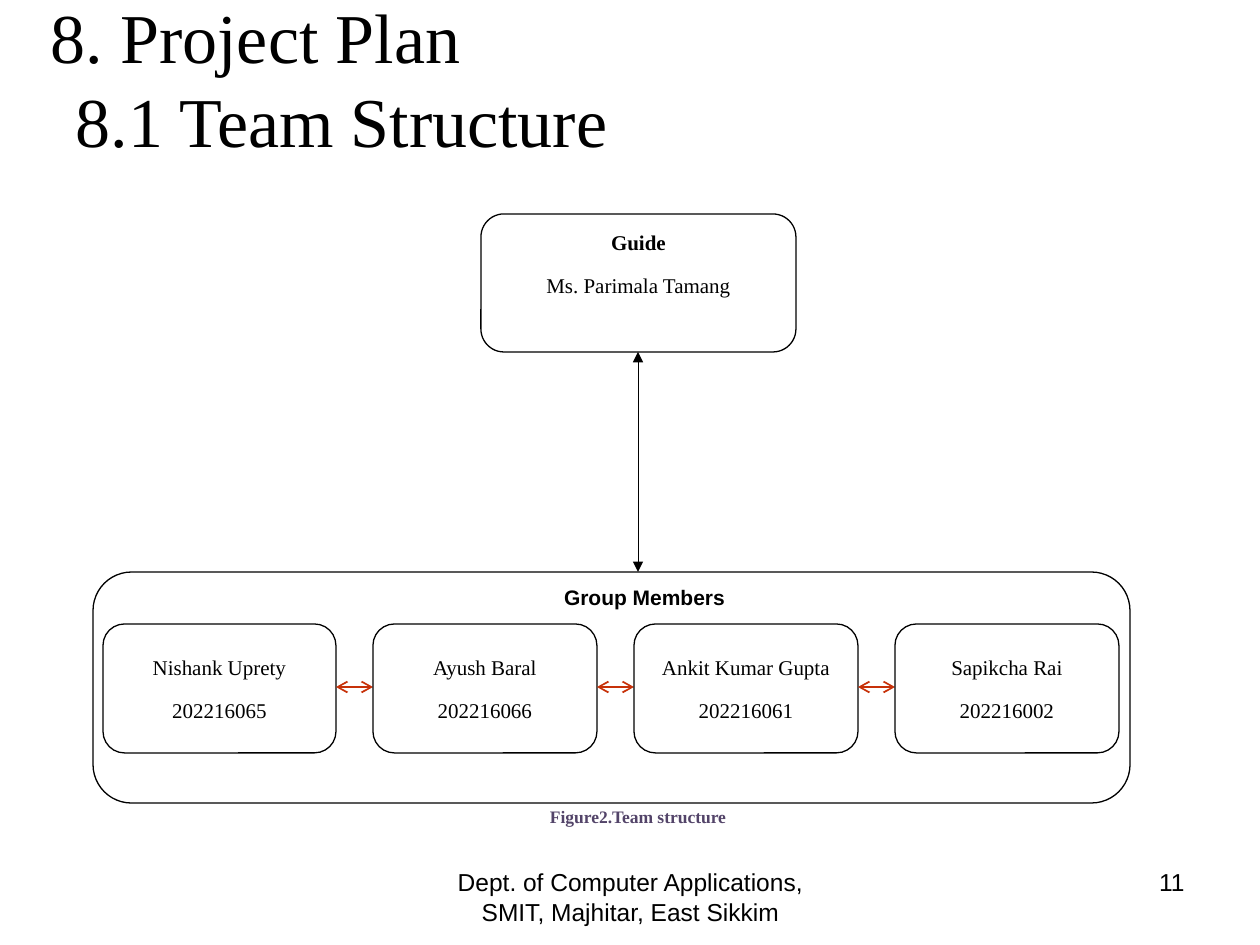
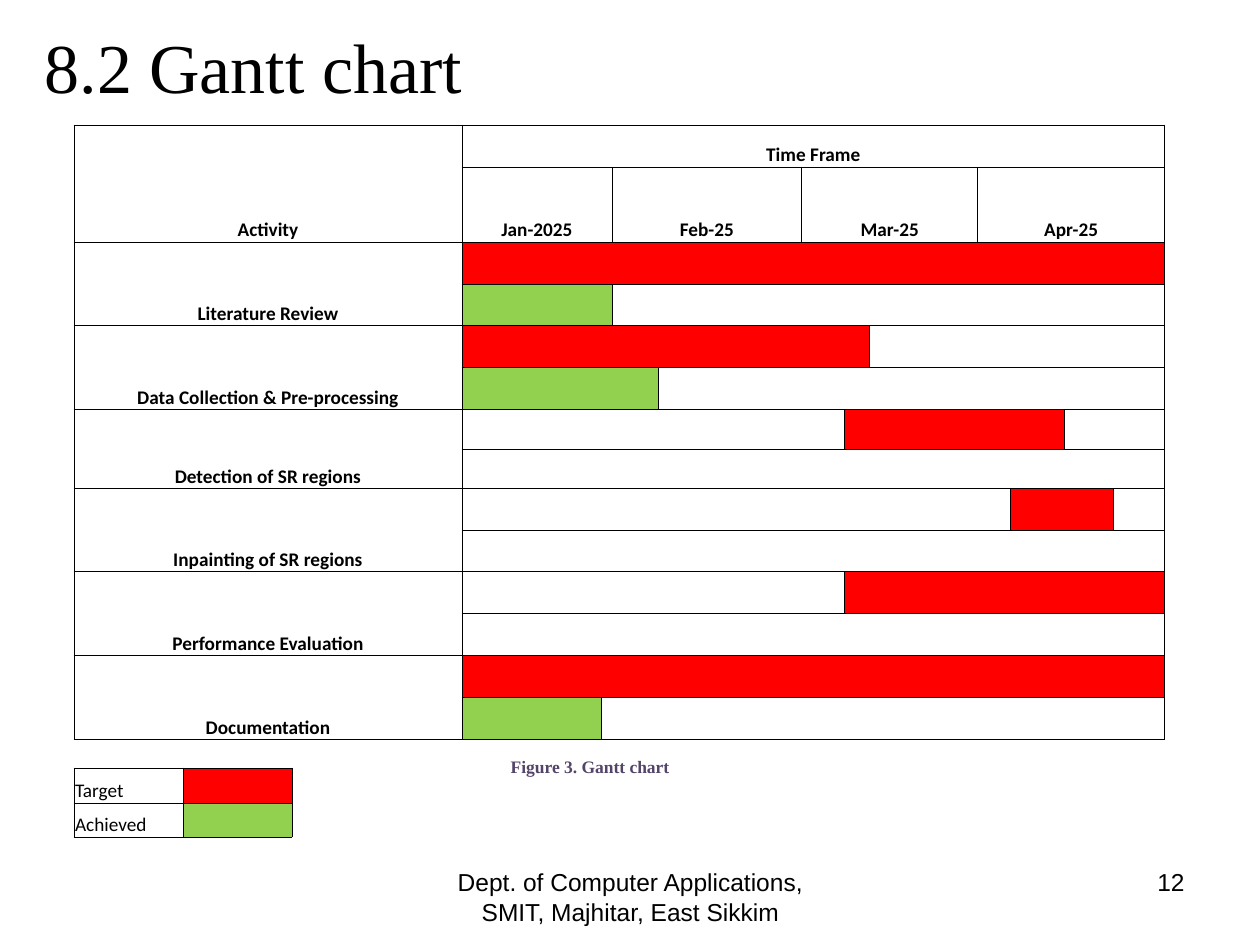
from lxml.etree import SubElement
from pptx import Presentation
from pptx.dml.color import RGBColor
from pptx.enum.shapes import MSO_CONNECTOR, MSO_SHAPE
from pptx.enum.text import MSO_ANCHOR, MSO_AUTO_SIZE, PP_ALIGN
from pptx.oxml import parse_xml
from pptx.oxml.ns import nsdecls, qn
from pptx.util import Emu, Pt

# Shared look
BLACK, WHITE, RED, GREEN = "000000", "FFFFFF", "FF0000", "92D050"
ARROW_RED, CAPTION_PURPLE = "C73109", "534469"
SERIF, SANS, TABLE_FONT = "Times New Roman", "Arial", "Calibri"
PX_PER_INCH = 126
FOOTER = "Dept. of Computer Applications, SMIT, Majhitar, East Sikkim"
FOOTER_BOX, NUMBER_BOX = (431, 861, 399, 66), (903, 861, 294, 66)

# Team structure content
TEAM_TITLE = "8. Project Plan\v8.1 Team Structure"
GUIDE = ["Guide", "Ms. Parimala Tamang"]
GUIDE_BOX = (481, 214, 315, 138)
GROUP_BOX = (93, 572, 1037, 231)
MEMBERS = [
    ("Nishank Uprety", "202216065"),
    ("Ayush Baral", "202216066"),
    ("Ankit Kumar Gupta", "202216061"),
    ("Sapikcha Rai", "202216002"),
]
FIRST_MEMBER_LEFT, FIRST_MEMBER_WIDTH = 103, 233
MEMBER_TOP, MEMBER_WIDTH, MEMBER_HEIGHT, MEMBER_GAP = 624, 224, 129, 37

# Gantt content: bars are (first column edge, last column edge)
GANTT_TITLE = "8.2 Gantt chart"
COLUMN_EDGES = [74, 462, 601, 612, 658, 802, 845, 870, 978, 1011, 1065, 1114, 1165]
ROW_EDGES = [125, 167, 242, 284, 326, 368, 410, 450, 489, 531, 572, 614, 656, 698, 740]
MONTHS = [("Jan-2025", 1, 3), ("Feb-25", 3, 5), ("Mar-25", 5, 8), ("Apr-25", 8, 12)]
ACTIVITIES = [
    ("Literature Review", (1, 12), (1, 3)),
    ("Data Collection & Pre-processing", (1, 7), (1, 4)),
    ("Detection of SR regions", (6, 10), None),
    ("Inpainting of SR regions", (9, 11), None),
    ("Performance Evaluation", (6, 12), None),
    ("Documentation", (1, 12), (1, 2)),
]
LEGEND = [("Target", RED), ("Achieved", GREEN)]
LEGEND_COLUMN_EDGES, LEGEND_ROW_EDGES = [74, 183, 292], [768, 803, 837]


def px(length):
    return Emu(round(length * 914400 / PX_PER_INCH))


def rgb(code):
    return RGBColor.from_string(code)


def style(paragraph, size, font, color=BLACK, bold=False, align=PP_ALIGN.CENTER, after=0):
    paragraph.alignment = align
    paragraph.space_after = Pt(after)
    paragraph.font.size = Pt(size)
    paragraph.font.name = font
    paragraph.font.bold = bold
    paragraph.font.color.rgb = rgb(color)


def add_text(slide, box, text, size, font, **look):
    frame = slide.shapes.add_textbox(*map(px, box)).text_frame
    frame.word_wrap = True
    frame.text = text
    style(frame.paragraphs[0], size, font, **look)


def add_caption(slide, left, top, text):
    add_text(slide, (left, top, 238, 34), text, 10, SERIF, color=CAPTION_PURPLE, bold=True)


def new_slide(deck, title, box, number):
    slide = deck.slides.add_slide(deck.slide_layouts[5])
    heading = slide.shapes.title
    heading.left, heading.top, heading.width, heading.height = map(px, box)
    frame = heading.text_frame
    frame.text = title
    frame.auto_size = MSO_AUTO_SIZE.NONE
    frame.vertical_anchor = MSO_ANCHOR.MIDDLE
    style(frame.paragraphs[0], 40, SERIF, align=PP_ALIGN.LEFT)
    add_text(slide, FOOTER_BOX, FOOTER, 14, SANS)
    add_text(slide, NUMBER_BOX, str(number), 14, SANS, align=PP_ALIGN.RIGHT)
    return slide


def add_rounded(slide, box, lines=()):
    shape = slide.shapes.add_shape(MSO_SHAPE.ROUNDED_RECTANGLE, *map(px, box))
    shape.shadow.inherit = False
    shape.fill.background()
    shape.line.color.rgb = rgb(BLACK)
    shape.line.width = Pt(0.75)
    frame = shape.text_frame
    frame.vertical_anchor = MSO_ANCHOR.MIDDLE
    frame.text = "\n".join(lines)
    for paragraph in frame.paragraphs:
        style(paragraph, 12, SERIF, after=10)
    return frame


def add_double_arrow(slide, start, end, color, width, head):
    arrow = slide.shapes.add_connector(MSO_CONNECTOR.STRAIGHT, *map(px, start + end))
    arrow.line.color.rgb = rgb(color)
    arrow.line.width = Pt(width)
    properties = arrow._element.spPr
    outline = properties.find(qn("a:ln"))
    for tip in ("a:headEnd", "a:tailEnd"):
        SubElement(outline, qn(tip), type=head)
    SubElement(properties, qn("a:effectLst"))


def sizes(edges):
    return [end - start for start, end in zip(edges, edges[1:])]


def add_grid(slide, column_edges, row_edges):
    """Add a plain white table with thin black borders."""
    widths, heights = sizes(column_edges), sizes(row_edges)
    table = slide.shapes.add_table(
        len(heights), len(widths), px(column_edges[0]), px(row_edges[0]),
        px(sum(widths)), px(sum(heights))).table
    table.first_row = table.horz_banding = False
    for column, width in zip(table.columns, widths):
        column.width = px(width)
    for row, height in zip(table.rows, heights):
        row.height = px(height)
        for cell in row.cells:
            cell.margin_left = cell.margin_right = cell.margin_top = px(1)
            cell.margin_bottom = 0
            cell.vertical_anchor = MSO_ANCHOR.BOTTOM
            style(cell.text_frame.paragraphs[0], 11, TABLE_FONT)
            paint(cell, WHITE)
            add_borders(cell)
    return table


def add_borders(cell):
    properties = cell._tc.get_or_add_tcPr()
    for place, side in enumerate("LRTB"):
        properties.insert(place, parse_xml(
            f'<a:ln{side} {nsdecls("a")} w="6350"><a:solidFill>'
            f'<a:srgbClr val="{BLACK}"/></a:solidFill></a:ln{side}>'))


def paint(cell, color):
    cell.fill.solid()
    cell.fill.fore_color.rgb = rgb(color)


def write(cell, text, bold=True, align=PP_ALIGN.CENTER):
    cell.text = text
    style(cell.text_frame.paragraphs[0], 11, TABLE_FONT, bold=bold, align=align)


def join(table, row, start, end, rows=1):
    """Merge columns start to end (exclusive) and return the leading cell."""
    cell = table.cell(row, start)
    if rows > 1 or end - start > 1:
        cell.merge(table.cell(row + rows - 1, end - 1))
    return cell


def add_bar(table, row, bar, color):
    last = len(COLUMN_EDGES) - 1
    start, end = bar or (1, 1)
    for left, right, shade in ((1, start, WHITE), (start, end, color), (end, last, WHITE)):
        if left < right:
            for column in range(left, right):
                paint(table.cell(row, column), shade)
            join(table, row, left, right)


def build_team(deck):
    slide = new_slide(deck, TEAM_TITLE, (30, 28, 1134, 100), 11)
    indents = slide.shapes.title.text_frame.paragraphs[0]._p.get_or_add_pPr()
    indents.set("marL", str(px(33)))
    indents.set("indent", str(px(-25)))

    # Guide and group frame
    guide = add_rounded(slide, GUIDE_BOX, GUIDE)
    guide.vertical_anchor = MSO_ANCHOR.TOP
    guide.margin_top = px(9)
    guide.paragraphs[0].font.bold = True
    add_rounded(slide, GROUP_BOX)
    add_text(slide, (523, 578, 243, 44), "Group Members", 12, SANS, bold=True)
    left, top, width, height = GUIDE_BOX
    middle = left + width // 2
    add_double_arrow(slide, (middle, top + height), (middle, GROUP_BOX[1]),
                     BLACK, 0.5, "triangle")

    # Members in a row, linked by arrows
    left, width = FIRST_MEMBER_LEFT, FIRST_MEMBER_WIDTH
    arrow_y = MEMBER_TOP + MEMBER_HEIGHT // 2 - 1
    for index, member in enumerate(MEMBERS):
        if index:
            add_double_arrow(slide, (left - MEMBER_GAP, arrow_y), (left, arrow_y),
                             ARROW_RED, 1, "arrow")
        add_rounded(slide, (left, MEMBER_TOP, width, MEMBER_HEIGHT), member)
        left += width + MEMBER_GAP
        width = MEMBER_WIDTH
    add_caption(slide, 519, 800, "Figure2.Team structure")


def build_gantt(deck):
    slide = new_slide(deck, GANTT_TITLE, (32, -14, 1134, 158), 12)

    # Header rows
    table = add_grid(slide, COLUMN_EDGES, ROW_EDGES)
    write(join(table, 0, 0, 1, rows=2), "Activity")
    write(join(table, 0, 1, len(COLUMN_EDGES) - 1), "Time Frame")
    for month, start, end in MONTHS:
        write(join(table, 1, start, end), month)

    # Two rows per activity
    for index, (activity, target, achieved) in enumerate(ACTIVITIES):
        row = 2 + 2 * index
        write(join(table, row, 0, 1, rows=2), activity)
        add_bar(table, row, target, RED)
        add_bar(table, row + 1, achieved, GREEN)

    # Legend
    legend = add_grid(slide, LEGEND_COLUMN_EDGES, LEGEND_ROW_EDGES)
    for row, (label, color) in enumerate(LEGEND):
        write(legend.cell(row, 0), label, bold=False, align=PP_ALIGN.LEFT)
        paint(legend.cell(row, 1), color)
    add_caption(slide, 471, 750, "Figure 3. Gantt chart")


def main():
    deck = Presentation()
    deck.slide_width, deck.slide_height = px(1260), px(945)
    build_team(deck)
    build_gantt(deck)
    deck.save("out.pptx")


if __name__ == "__main__":
    main()
